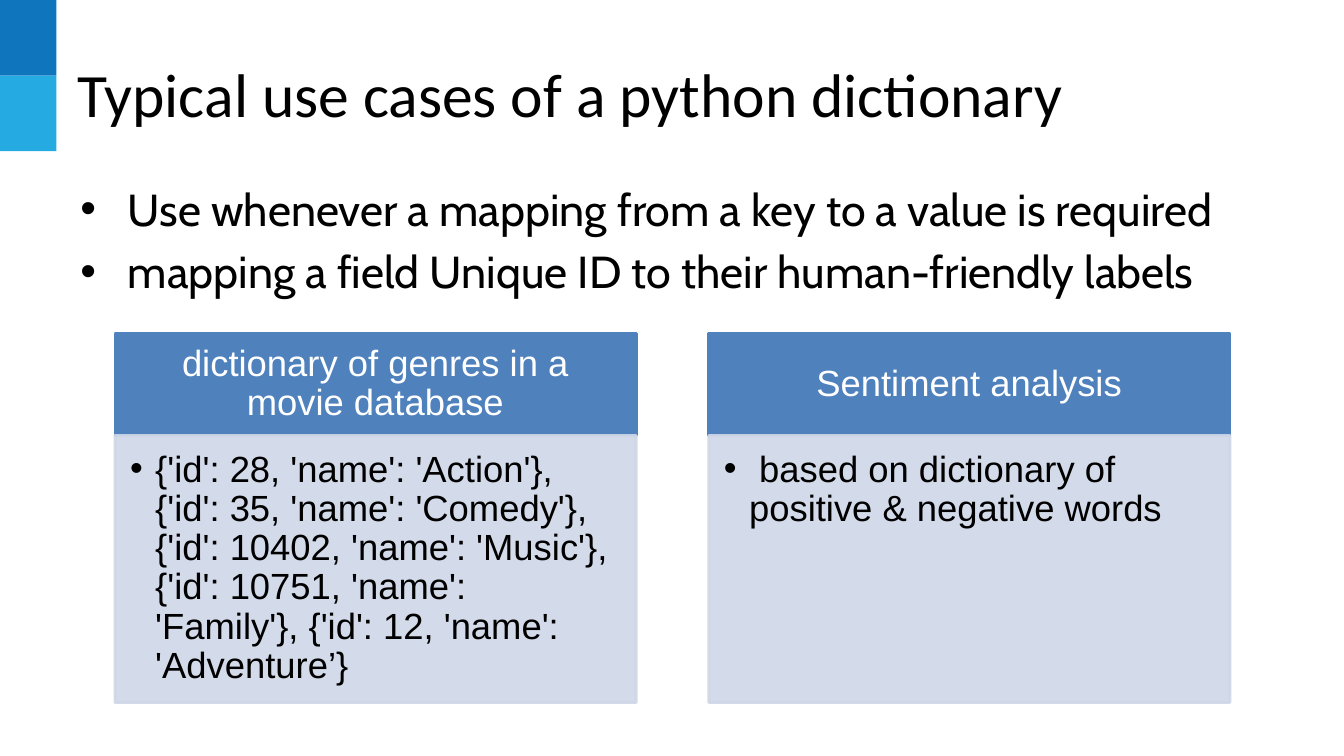
from lxml import etree
from pptx import Presentation
from pptx.dml.color import RGBColor
from pptx.enum.shapes import MSO_SHAPE
from pptx.enum.text import MSO_ANCHOR, PP_ALIGN
from pptx.oxml.ns import qn
from pptx.util import Inches, Pt

RECTANGLE = MSO_SHAPE.RECTANGLE
TOP, MIDDLE = MSO_ANCHOR.TOP, MSO_ANCHOR.MIDDLE
LEFT, CENTER = PP_ALIGN.LEFT, PP_ALIGN.CENTER

TITLE = "Typical use cases of a python dictionary"
POINTS = [
    "Use whenever a mapping from a key to a value is required",
    "mapping a field Unique ID to their human-friendly labels",
]
USE_CASES = [
    (
        "dictionary of genres in a movie database",
        "{'id': 28, 'name': 'Action'}, {'id': 35, 'name': 'Comedy'}, "
        "{'id': 10402, 'name': 'Music'}, {'id': 10751, 'name': 'Family'}, "
        "{'id': 12, 'name': 'Adventure’}",
    ),
    ("Sentiment analysis", " based on dictionary of positive & negative words"),
]
COLORS = {
    "dark_block": "0F75BD",
    "light_block": "25AAE2",
    "header": "4F81BD",
    "panel": "CFD7E7",
    "black": "000000",
    "white": "FFFFFF",
}

BLOCK_WIDTH, BLOCK_HEIGHT = 0.56, 0.75
TEXT_LEFT, TEXT_WIDTH = 0.67, 12
CARD_LEFT, CARD_TOP, CARD_WIDTH, CARD_STEP = 1.14, 3.31, 5.17, 5.89
HEADER_HEIGHT, PANEL_HEIGHT = 1.01, 2.65
TEXT_INSETS = (0.1, 0.05, 0.1, 0.05)
HEADER_INSETS = (0.2, 0.12, 0.2, 0.12)
PANEL_INSETS = (0.15, 0.15, 0.2, 0.23)


def add_box(slide, area, color, outlined=False, opacity=100):
    box = slide.shapes.add_shape(RECTANGLE, *map(Inches, area))
    box.shadow.inherit = False
    box.fill.solid()
    fills = [box.fill]
    if outlined:
        box.line.width = Pt(2)
        box.line.fill.solid()
        fills.append(box.line.fill)
    else:
        box.line.fill.background()
    for fill in fills:
        fill.fore_color.rgb = RGBColor.from_string(COLORS[color])
    if opacity < 100:
        for tint in box.element.spPr.iter(qn("a:srgbClr")):
            etree.SubElement(tint, qn("a:alpha"), val=str(opacity * 1000))
    return box


def add_bullet(para, margin, indent):
    properties = para._p.get_or_add_pPr()
    properties.set("marL", str(Inches(margin)))
    properties.set("indent", str(Inches(indent)))
    tint = etree.SubElement(properties, qn("a:buClr"))
    etree.SubElement(tint, qn("a:srgbClr"), val=COLORS["black"])
    etree.SubElement(properties, qn("a:buFont"), typeface="Arial")
    etree.SubElement(properties, qn("a:buChar"), char="•")


def write(box, texts, font, size, color="black", insets=TEXT_INSETS, anchor=TOP,
          align=LEFT, spacing=None, before=None, bullet=None):
    frame = box.text_frame
    frame.word_wrap = True
    frame.vertical_anchor = anchor
    frame.margin_left, frame.margin_top, frame.margin_right, frame.margin_bottom = map(
        Inches, insets)
    for index, text in enumerate(texts):
        para = frame.add_paragraph() if index else frame.paragraphs[0]
        para.text = text
        para.alignment = align
        para.line_spacing = spacing
        if before:
            para.space_before = Pt(before)
        if bullet:
            add_bullet(para, *bullet)
        para.font.name = font
        para.font.size = Pt(size)
        para.font.color.rgb = RGBColor.from_string(COLORS[color])


def main():
    deck = Presentation()
    deck.slide_width, deck.slide_height = Inches(13.33), Inches(7.5)
    slide = deck.slides.add_slide(deck.slide_layouts[6])

    for row, color in enumerate(("dark_block", "light_block")):
        add_box(slide, (0, row * BLOCK_HEIGHT, BLOCK_WIDTH, BLOCK_HEIGHT), color)

    title = slide.shapes.add_textbox(*map(Inches, (TEXT_LEFT, 0.3, TEXT_WIDTH, 1.25)))
    write(title, [TITLE], "Calibri", 44, anchor=MIDDLE)

    body = slide.shapes.add_textbox(*map(Inches, (TEXT_LEFT, 1.75, TEXT_WIDTH, 4.95)))
    write(body, POINTS, "Cabin", 32, before=6.4, bullet=(0.5, -0.47))

    for column, (heading, detail) in enumerate(USE_CASES):
        left = CARD_LEFT + column * CARD_STEP
        header = add_box(slide, (left, CARD_TOP, CARD_WIDTH, HEADER_HEIGHT),
                         "header", outlined=True)
        write(header, [heading], "Arial", 26, "white", HEADER_INSETS, MIDDLE,
              CENTER, spacing=0.9)
        panel = add_box(slide, (left, CARD_TOP + HEADER_HEIGHT, CARD_WIDTH, PANEL_HEIGHT),
                        "panel", outlined=True, opacity=90)
        write(panel, [detail], "Arial", 26, insets=PANEL_INSETS, spacing=0.9,
              bullet=(0.25, -0.25))

    deck.save("out.pptx")


if __name__ == "__main__":
    main()
